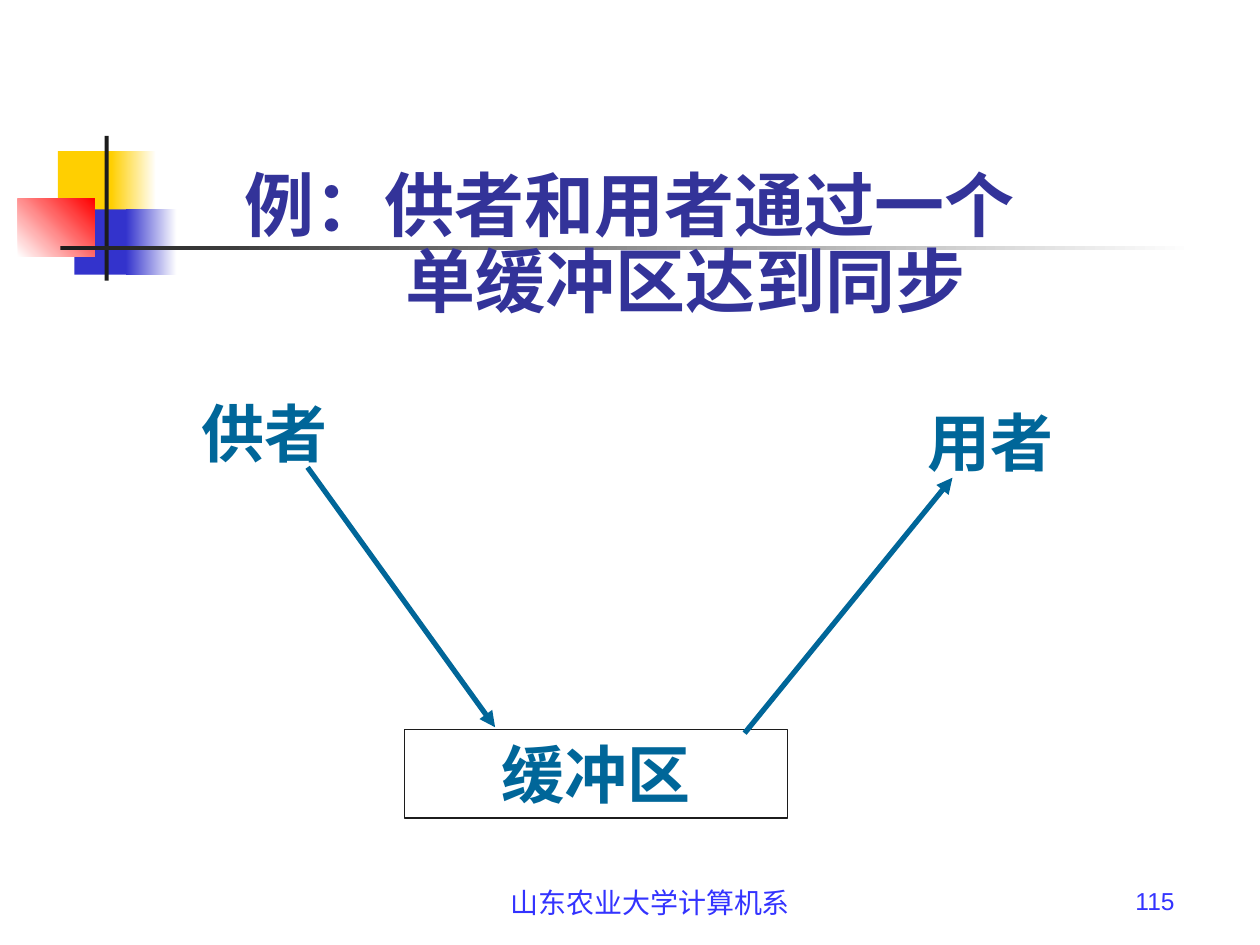
from lxml import etree
from pptx import Presentation
from pptx import util as u
from pptx.dml.color import RGBColor
from pptx.enum import shapes, text
from pptx.oxml.ns import qn

INK = "1C1C1C"
TEAL = "006699"
VIOLET = "3333FF"
YELLOW = "FFCF01"
BLUE = "3333CC"
LABEL = dict(size=36, font="Lato", color=TEAL, bold=True)


def rgb(value):
    """Turn a hex string into a colour."""
    return RGBColor.from_string(value)


def box(*lengths):
    """Turn centimetre values into lengths."""
    return [u.Cm(length) for length in lengths]


def write(frame, content, size, font, color, bold=False,
          align=text.PP_ALIGN.LEFT, spacing=None, indents=()):
    """Fill a text frame with one paragraph per line of content."""
    frame.word_wrap = True
    frame.auto_size = text.MSO_AUTO_SIZE.NONE
    frame.vertical_anchor = text.MSO_ANCHOR.TOP
    frame.text = content
    for paragraph in frame.paragraphs:
        paragraph.alignment = align
        paragraph.space_before = u.Pt(0)
        paragraph.line_spacing = spacing
        paragraph.font.size = u.Pt(size)
        paragraph.font.name = font
        paragraph.font.bold = bold
        paragraph.font.color.rgb = rgb(color)
    for paragraph, indent in zip(frame.paragraphs, indents):
        paragraph._p.get_or_add_pPr().set("marL", str(u.Cm(indent)))


def add_text(slide, place, content, **style):
    """Add a text box with formatted text."""
    write(slide.shapes.add_textbox(*box(*place)).text_frame, content, **style)


def add_block(slide, place, colors=(), angle=0, outline=None):
    """Add a rectangle with no fill, a solid fill or a two-colour gradient."""
    block = slide.shapes.add_shape(shapes.MSO_SHAPE.RECTANGLE, *box(*place))
    block.shadow.inherit = False
    if len(colors) == 2:
        block.fill.gradient()
        block.fill.gradient_angle = angle
        for stop, color in zip(block.fill.gradient_stops, colors):
            stop.color.rgb = rgb(color)
    elif colors:
        block.fill.solid()
        block.fill.fore_color.rgb = rgb(colors[0])
    else:
        block.fill.background()
    if outline:
        block.line.color.rgb = rgb(outline)
        block.line.width = u.Pt(0.75)
    else:
        block.line.fill.background()
    return block


def add_arrow(slide, start, end):
    """Add a straight arrow from start to end."""
    arrow = slide.shapes.add_connector(
        shapes.MSO_CONNECTOR.STRAIGHT, *box(*start, *end))
    arrow.line.color.rgb = rgb(TEAL)
    arrow.line.width = u.Pt(3)
    etree.SubElement(arrow.line._get_or_add_ln(), qn("a:tailEnd"), type="triangle")
    etree.SubElement(arrow.element.spPr, qn("a:effectLst"))


def add_ornament(slide):
    """Draw the coloured squares and the crossing rules."""
    for place, colors, angle in (
        ((1.17, 3.05, 1.22, 1.32), [YELLOW], 0),
        ((2.24, 3.05, 0.91, 1.32), [YELLOW, "FFFFFF"], 0),
        ((1.5, 4.22, 1.17, 1.32), [BLUE], 0),
        ((2.54, 4.22, 1.02, 1.32), [BLUE, "FFFFFF"], 0),
        ((0.36, 4.01, 1.55, 1.17), ["FFFFFF", "FF0000"], 45),
        ((2.11, 2.74, 0.08, 2.92), [INK], 0),
        ((1.22, 4.95, 22.86, 0.09), [INK, "FFFFFF"], 0),
    ):
        add_block(slide, place, colors, angle)


def add_title(slide):
    """Place the two-line title in front of the ornament."""
    title = slide.shapes.title
    title.left, title.top, title.width, title.height = box(3.89, 3.33, 17.6, 3.3)
    write(title.text_frame, "例：供者和用者通过一个\n单缓冲区达到同步", size=40,
          font="Times New Roman", color="333399", bold=True,
          align=text.PP_ALIGN.CENTER, spacing=0.9, indents=(0, 2.25))
    title.element.getparent().append(title.element)


def add_diagram(slide):
    """Draw the supplier, the buffer and the user with their arrows."""
    buffer = add_block(slide, (8.15, 14.71, 7.72, 1.78), outline=INK)
    write(buffer.text_frame, "缓冲区", align=text.PP_ALIGN.CENTER, **LABEL)
    add_text(slide, (3.81, 7.82, 3.76, 1.78), "供者", **LABEL)
    add_text(slide, (18.44, 8, 3.76, 1.78), "用者", **LABEL)
    add_arrow(slide, (6.2, 9.42), (9.98, 14.66))
    add_arrow(slide, (15.01, 14.78), (19.2, 9.63))


def main():
    """Build and save the slide."""
    deck = Presentation()
    deck.slide_width, deck.slide_height = box(25.4, 19.05)
    slide = deck.slides.add_slide(deck.slide_layouts.get_by_name("Title Only"))
    add_ornament(slide)
    add_text(slide, (9.09, 17.73, 8.05, 1.32), "山东农业大学计算机系", size=16,
             font="Arial", color=VIOLET, align=text.PP_ALIGN.CENTER)
    add_text(slide, (17.58, 17.73, 6.35, 1.32), "115", size=14,
             font="Arial", color=VIOLET, align=text.PP_ALIGN.RIGHT)
    add_title(slide)
    add_diagram(slide)
    deck.save("out.pptx")


if __name__ == "__main__":
    main()
